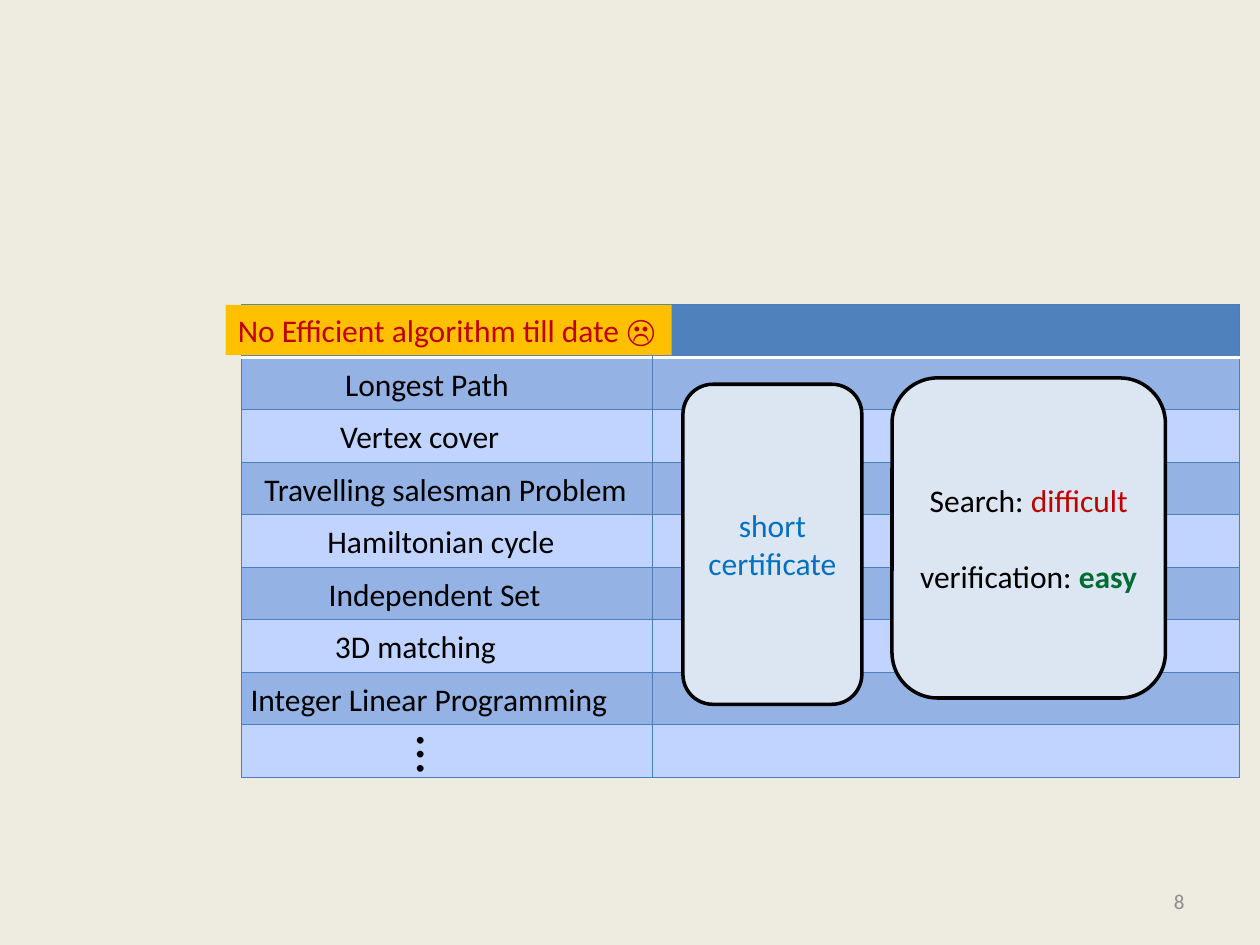
from lxml import etree
from pptx import Presentation
from pptx.dml.color import RGBColor
from pptx.enum.shapes import MSO_SHAPE
from pptx.enum.text import MSO_ANCHOR, PP_ALIGN
from pptx.oxml.ns import qn
from pptx.util import Inches, Pt

PAPER = RGBColor(0xEE, 0xEC, 0xE1)
HEADER = RGBColor(0x4F, 0x81, 0xBD)
BAND_DARK = RGBColor(0x94, 0xB2, 0xE4)
BAND_LIGHT = RGBColor(0xC0, 0xD4, 0xFF)
GRID = RGBColor(0x4B, 0x7E, 0xBC)
PANEL = RGBColor(0xDC, 0xE6, 0xF2)
GOLD = RGBColor(0xFF, 0xC0, 0x00)
RED = RGBColor(0xC0, 0x00, 0x00)
BLUE = RGBColor(0x00, 0x70, 0xC0)
GREEN = RGBColor(0x00, 0x6C, 0x31)
GRAY = RGBColor(0x8C, 0x8C, 0x8C)
BLACK = RGBColor(0, 0, 0)
WHITE = RGBColor(0xFF, 0xFF, 0xFF)

TABLE_LEFT, TABLE_TOP = 1.92, 2.42
COLUMN_WIDTHS = (3.26, 4.66)
ROW_COUNT, TABLE_HEIGHT = 9, 3.75
ROW_HEIGHT = TABLE_HEIGHT / ROW_COUNT
LABEL_HEIGHT = 0.4


def add_text(shape, lines, size=18, align=PP_ALIGN.LEFT):
    """Write each line, a list of (text, colour, bold) runs, as a paragraph."""
    frame = shape.text_frame
    for index, runs in enumerate(lines):
        paragraph = frame.add_paragraph() if index else frame.paragraphs[0]
        paragraph.alignment = align
        paragraph.font.name = "Calibri"
        paragraph.font.size = Pt(size)
        for text, color, bold in runs:
            run = paragraph.add_run()
            run.text = text
            run.font.color.rgb = color
            run.font.bold = bold


def set_border(cell, side, color, width):
    line = etree.SubElement(cell._tc.get_or_add_tcPr(), qn(f"a:ln{side}"), w=str(Pt(width)))
    fill = etree.SubElement(line, qn("a:solidFill"))
    etree.SubElement(fill, qn("a:srgbClr"), val=str(color))


presentation = Presentation()
presentation.slide_width, presentation.slide_height = Inches(10), Inches(7.5)
slide = presentation.slides.add_slide(presentation.slide_layouts[6])
slide.background.fill.solid()
slide.background.fill.fore_color.rgb = PAPER
shapes = slide.shapes

# Slide number
number = shapes.add_textbox(Inches(7.17), Inches(6.95), Inches(2.33), Inches(0.4))
number.text_frame.word_wrap = True
number.text_frame.vertical_anchor = MSO_ANCHOR.MIDDLE
add_text(number, [[("8", GRAY, False)]], 12, PP_ALIGN.RIGHT)

# Banded table
table = shapes.add_table(ROW_COUNT, len(COLUMN_WIDTHS), Inches(TABLE_LEFT), Inches(TABLE_TOP),
                         Inches(sum(COLUMN_WIDTHS)), Inches(TABLE_HEIGHT)).table
for column, width in zip(table.columns, COLUMN_WIDTHS):
    column.width = Inches(width)
for row_index, row in enumerate(table.rows):
    row.height = Inches(ROW_HEIGHT)
    for column_index, cell in enumerate(row.cells):
        inner_side = "R" if column_index == 0 else "L"
        for side in ("L", "R", "T", "B"):
            color, width = GRID, 0.75
            if (row_index, side) in ((0, "B"), (1, "T")):
                color, width = WHITE, 2
            elif row_index == 0 and side == inner_side:
                color = HEADER
            set_border(cell, side, color, width)
        cell.fill.solid()
        band = BAND_DARK if row_index % 2 else BAND_LIGHT
        cell.fill.fore_color.rgb = band if row_index else HEADER

# Problem names, one per table row
problems = [
    ("Longest Path", 2.64, 1.52),
    ("Vertex cover", 2.6, 1.48),
    ("Travelling salesman Problem", 2, 3.11),
    ("Hamiltonian cycle", 2.5, 2.09),
    ("Independent Set", 2.51, 1.91),
    ("3D matching", 2.56, 1.5),
    ("Integer Linear Programming", 1.89, 3.07),
]
for row_index, (name, left, width) in enumerate(problems, start=1):
    top = TABLE_TOP + row_index * ROW_HEIGHT + 0.01
    label = shapes.add_textbox(Inches(left), Inches(top), Inches(width), Inches(LABEL_HEIGHT))
    label.text_frame.word_wrap = False
    add_text(label, [[(name, BLACK, False)]])

# Vertical dots in the last row
dots = shapes.add_textbox(Inches(3.23), Inches(5.67), Inches(0.51), Inches(0.64))
dots.rotation = 90
dots.text_frame.word_wrap = False
add_text(dots, [[("…", BLACK, False)]], 32)

# Banner over the header row
banner = shapes.add_textbox(Inches(1.79), Inches(TABLE_TOP), Inches(3.54), Inches(LABEL_HEIGHT))
banner.fill.solid()
banner.fill.fore_color.rgb = GOLD
banner.text_frame.word_wrap = False
add_text(banner, [[("No Efficient algorithm till date ☹", RED, False)]])

# Rounded panels
panels = [
    (5.42, 3.05, 1.42, 0, [[("short", BLUE, False)], [("certificate", BLUE, False)]]),
    (7.08, 3, 2.17, 22, [[("Search: ", BLACK, False), ("difficult", RED, False)],
                         [("verification: ", BLACK, False), ("easy", GREEN, True)]]),
]
for left, top, width, gap, lines in panels:
    panel = shapes.add_shape(MSO_SHAPE.ROUNDED_RECTANGLE, Inches(left), Inches(top),
                             Inches(width), Inches(2.54))
    panel.shadow.inherit = False
    panel.fill.solid()
    panel.fill.fore_color.rgb = PANEL
    panel.line.color.rgb = BLACK
    panel.line.width = Pt(2)
    panel.text_frame.vertical_anchor = MSO_ANCHOR.MIDDLE
    add_text(panel, lines, align=PP_ALIGN.CENTER)
    panel.text_frame.paragraphs[-1].space_before = Pt(gap)

presentation.save("out.pptx")
